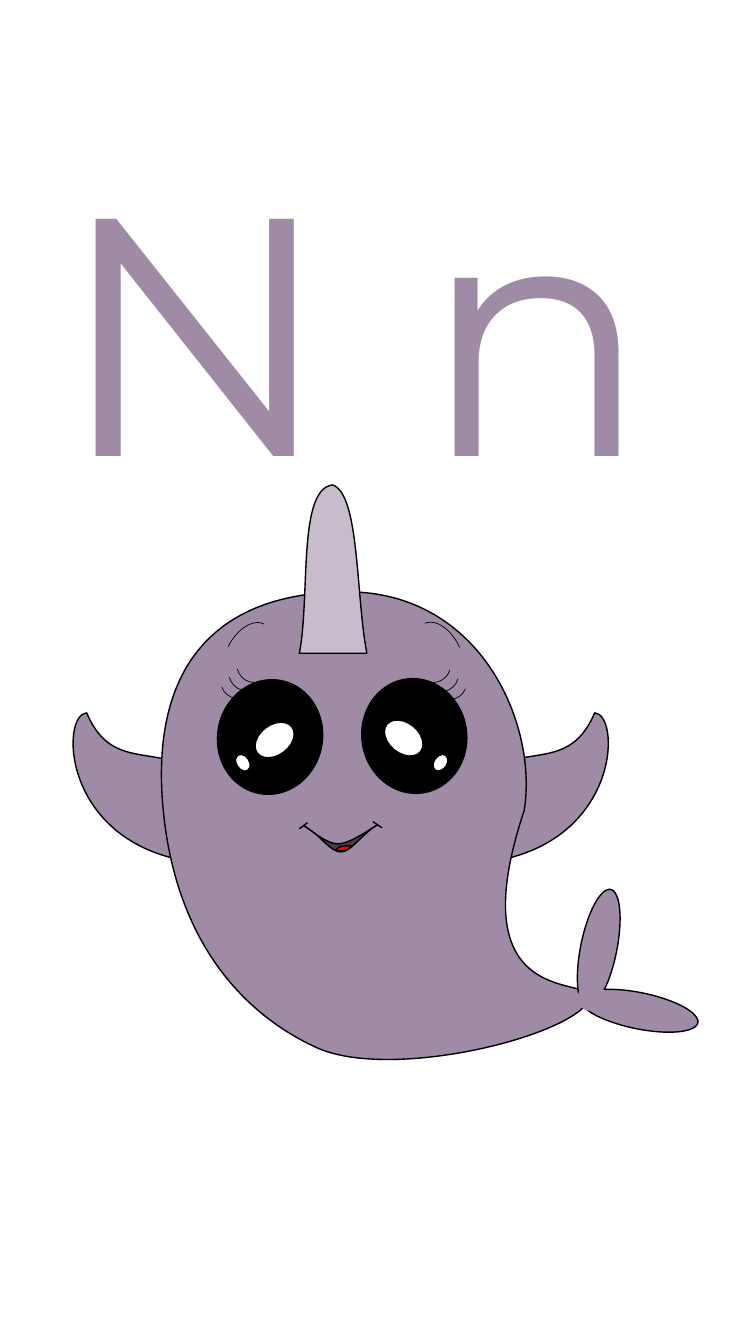
from dataclasses import dataclass

from lxml import etree
from pptx import Presentation, util as u
from pptx.dml.color import RGBColor
from pptx.enum import shapes, text
from pptx.oxml import parse_xml
from pptx.oxml.ns import nsdecls, qn


@dataclass(frozen=True)
class Theme:
    font: str = "Montserrat"
    letter_size: float = 242
    outline_width: float = 1
    fine_width: float = 0.5
    skin: str = "A08BA7"
    horn: str = "C8BCCC"
    black: str = "000000"
    white: str = "FFFFFF"
    mouth: str = "404040"
    tongue: str = "FF0000"


THEME = Theme()
COLUMNS = 75  # square grid cells across the slide width
SAMPLES = 40  # points measured along a curve to find its bounds
ELLIPSE = shapes.MSO_SHAPE.OVAL
ARC = shapes.MSO_SHAPE.ARC

# Outlines: a start point, then 2 numbers for a line or 6 for a Bezier curve.
FIN = [(8.6, 70.7), (11.6, 77.8, 17.2, 72.1, 23, 79.6), (17.1, 85.1),
       (6.1, 82.3, 6.1, 70.9, 8.6, 70.7)]
FIN_MIRROR = 67.6
BODY = [(16.2, 80.4), (14.9, 67.2, 20.4, 58.9, 34.1, 58.7),
        (47.7, 58.5, 53.4, 71.9, 52, 80.4), (44.8, 102, 61.1, 96, 58.2, 99.6),
        (55.2, 103.2, 38.4, 107.1, 31.4, 103.9),
        (24.4, 100.7, 17.5, 93.7, 16.2, 80.4)]
HORN = [(29.7, 64.8), (30.8, 59.2, 29.5, 48.5, 33, 48.1),
        (35.7, 49, 35.3, 59.2, 36.4, 64.8), (29.7, 64.8)]
MOUTH = [(30.2, 81.9), (30.6, 82.1, 32.3, 83.7, 33.5, 83.7),
         (34.7, 83.7, 36.6, 82.3, 37.3, 81.9),
         (37.8, 81.6, 36.6, 82.3, 36.3, 82.7),
         (35.7, 83.1, 34.7, 84.5, 33.8, 84.5),
         (33, 84.5, 32, 83.3, 31.4, 82.8),
         (30.8, 82.3, 29.9, 81.8, 30.2, 81.9)]
TONGUE = [(34.4, 83.9), (34.6, 83.8, 34.7, 83.9, 34.9, 83.9), (34.7, 84.1),
          (34.4, 84.3, 34.2, 84.4, 34, 84.4),
          (33.9, 84.4, 33.7, 84.4, 33.6, 84.4), (33.3, 84.3), (33.4, 84.2),
          (33.6, 84, 34, 83.9, 34.4, 83.9)]
SMILE_ENDS = [(30.5, 81.6, 29.7, 82.2), (37, 81.5, 37.9, 82.1)]

# Eye parts: kind, size, fill, then left, top and rotation on each side.
EYE_PARTS = [
    (ELLIPSE, (10.4, 11.4), THEME.black, (35.9, 67.3, 350.6), (21.6, 67.4, 11.7)),
    (ARC, (3.5, 3.5), None, (41.2, 64.2, 106.2), (23.5, 64.2, 256.1)),
    (ARC, (3.5, 3.5), None, (42, 65.1, 106.2), (22.7, 65, 256.1)),
    (ARC, (3.5, 3.5), None, (42.8, 65.9, 112.3), (21.9, 65.8, 250.1)),
    (ELLIPSE, (4.3, 3), THEME.white, (37.9, 71.7, 39.4), (25.1, 71.9, 322.9)),
    (ELLIPSE, (1.8, 1.3), THEME.white, (42.8, 75, 305.3), (23.2, 75, 57)),
    (ARC, (4.3, 7.2), None, (41.5, 61.5, 335.4), (22.4, 61.5, 26.9)),
]
FLUKES = [(57.6, 88.1, 11.4), (61.6, 94.3, 101.5)]


def mirrored(outline, total):
    return [tuple(value if i % 2 else total - value
                  for i, value in enumerate(step)) for step in outline]


def bounds(outline):
    """Return the top left and bottom right corners that hug the curves."""
    points = [outline[0]]
    for step in outline[1:]:
        if len(step) == 2:
            points.append(step)
            continue
        controls = [points[-1], step[:2], step[2:4], step[4:]]
        for i in range(1, SAMPLES + 1):
            t = i / SAMPLES
            weights = ((1 - t) ** 3, 3 * t * (1 - t) ** 2,
                       3 * t * t * (1 - t), t ** 3)
            points.append(tuple(sum(w * c[axis] for w, c in zip(weights, controls))
                                for axis in (0, 1)))
    axes = list(zip(*points))
    return [tuple(pick(axis) for axis in axes) for pick in (min, max)]


class Card:
    def __init__(self, presentation, theme):
        self.theme = theme
        self.cell = presentation.slide_width / COLUMNS
        self.slide = presentation.slides.add_slide(presentation.slide_layouts[5])
        self.drawing = None

    def lengths(self, *cells):
        return [u.Emu(round(value * self.cell)) for value in cells]

    def title(self, words, left, top, width, height):
        shape = self.slide.shapes.title
        shape.left, shape.top, shape.width, shape.height = self.lengths(
            left, top, width, height)
        frame = shape.text_frame
        frame.text = words
        frame.word_wrap = True
        frame.auto_size = text.MSO_AUTO_SIZE.NONE
        frame.vertical_anchor = text.MSO_ANCHOR.TOP
        paragraph = frame.paragraphs[0]
        paragraph.alignment = text.PP_ALIGN.LEFT
        font = paragraph.runs[0].font
        font.name = self.theme.font
        font.size = u.Pt(self.theme.letter_size)
        font.color.rgb = RGBColor.from_string(self.theme.skin)

    def start_drawing(self):
        self.drawing = self.slide.shapes.add_group_shape()

    def paint(self, shape, fill, width):
        shape.shadow.inherit = False
        if fill:
            shape.fill.solid()
            shape.fill.fore_color.rgb = RGBColor.from_string(fill)
        else:
            shape.fill.background()
        self.stroke(shape.line, width)

    def stroke(self, line, width):
        if width:
            line.color.rgb = RGBColor.from_string(self.theme.black)
            line.width = u.Pt(width)
        else:
            line.fill.background()

    def outline(self, steps, fill):
        """Size a freeform to the bounds, then give it true Bezier steps."""
        start, end = bounds(steps)
        builder = self.drawing.shapes.build_freeform(*self.lengths(*start), scale=1.0)
        builder.add_line_segments([self.lengths(*end)], close=True)
        shape = builder.convert_to_shape()
        contour = next(shape.element.iter(qn("a:path")))
        for child in list(contour):
            contour.remove(child)
        for i, step in enumerate(steps):
            tag = "a:cubicBezTo" if len(step) == 6 else "a:lnTo" if i else "a:moveTo"
            segment = etree.SubElement(contour, qn(tag))
            for x, y in zip(step[::2], step[1::2]):
                local = self.lengths(x - start[0], y - start[1])
                etree.SubElement(segment, qn("a:pt"),
                                 x=str(int(local[0])), y=str(int(local[1])))
        etree.SubElement(contour, qn("a:close"))
        self.paint(shape, fill, self.theme.outline_width)

    def preset(self, kind, place, size, fill, width, flip=False):
        left, top, rotation = place
        shape = self.drawing.shapes.add_shape(
            kind, *self.lengths(left, top, *size))
        shape.rotation = rotation
        if flip:
            shape.element.spPr.get_or_add_xfrm().set("flipH", "1")
        self.paint(shape, fill, width)

    def line(self, ends):
        connector = self.drawing.shapes.add_connector(
            shapes.MSO_CONNECTOR.STRAIGHT, *self.lengths(*ends))
        self.stroke(connector.line, self.theme.outline_width)
        connector.element.spPr.append(
            parse_xml(f"<a:effectLst {nsdecls('a')}/>"))


def main():
    presentation = Presentation()
    presentation.slide_width = u.Inches(7.5)
    presentation.slide_height = u.Inches(13.33)
    card = Card(presentation, THEME)
    card.title("N n", 4.7, 11.2, 83.7, 41.7)

    card.start_drawing()
    card.outline(FIN, THEME.skin)
    card.outline(mirrored(FIN, FIN_MIRROR), THEME.skin)
    card.outline(BODY, THEME.skin)
    card.outline(HORN, THEME.horn)
    for side in (0, 1):
        for kind, size, fill, *places in EYE_PARTS:
            width = THEME.fine_width if kind == ARC else THEME.outline_width
            card.preset(kind, places[side], size, fill, width, flip=side == 1)
    for place in FLUKES:
        card.preset(ELLIPSE, place, (3.6, 11.9), THEME.skin, THEME.outline_width)
    card.preset(ELLIPSE, (57.4, 97.5, 254.4), (2.6, 2.9), THEME.skin, None)
    card.outline(MOUTH, THEME.mouth)
    card.outline(TONGUE, THEME.tongue)
    for ends in SMILE_ENDS:
        card.line(ends)
    presentation.save("out.pptx")


if __name__ == "__main__":
    main()
